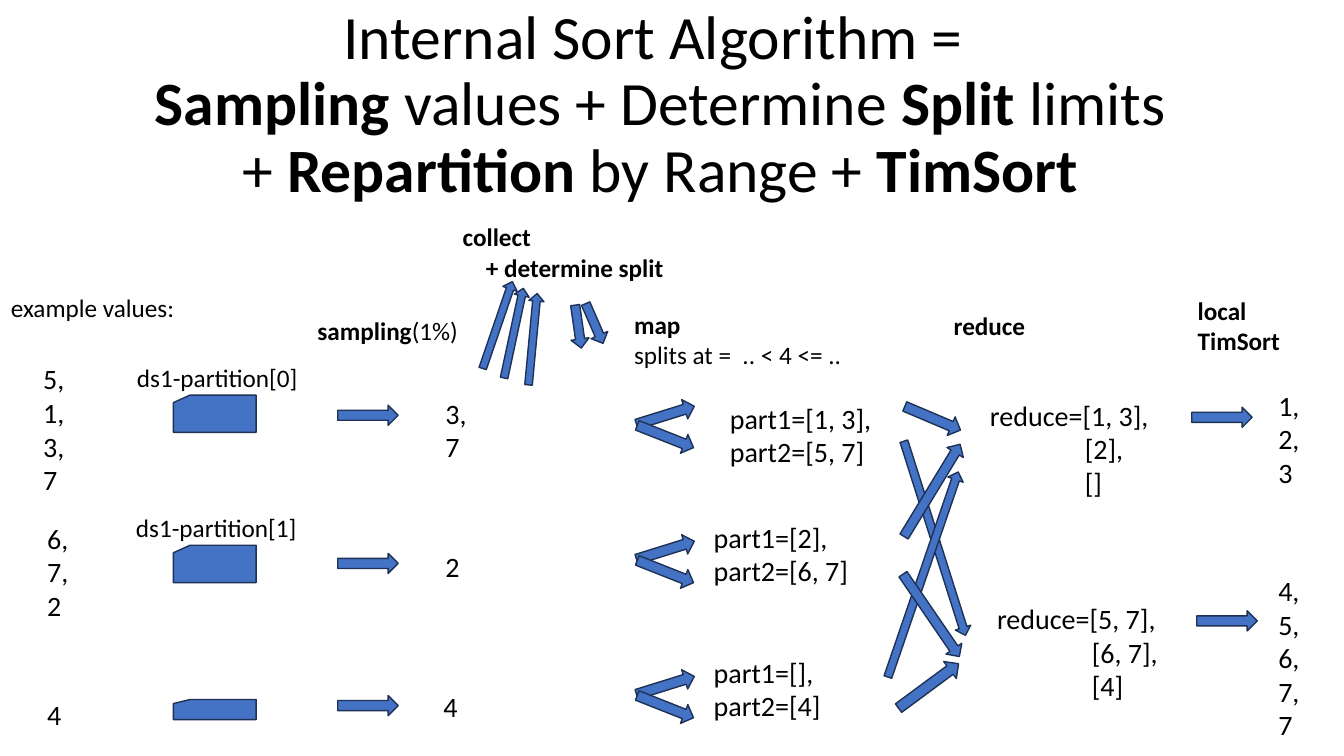
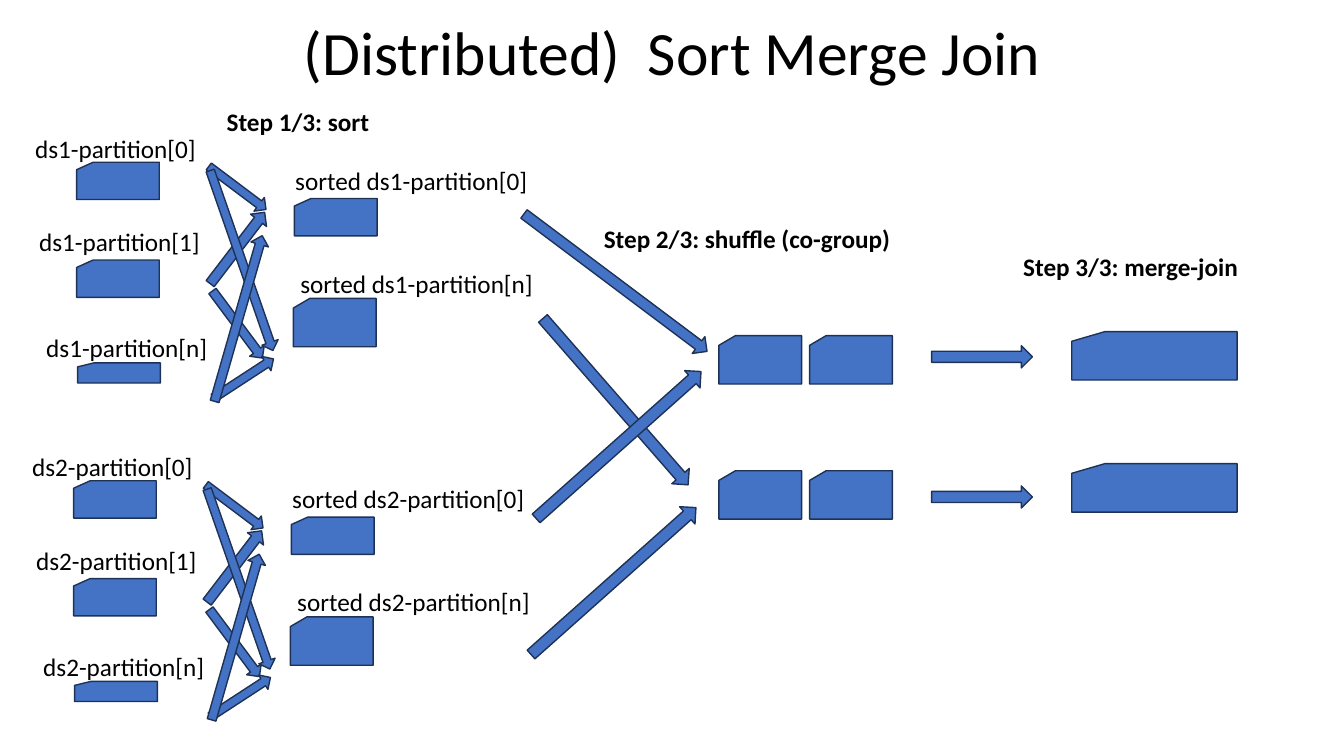
import dataclasses

import pptx
import pptx.dml.color
import pptx.enum.shapes
import pptx.enum.text
import pptx.util

Inches = pptx.util.Inches
SHAPES = pptx.enum.shapes.MSO_SHAPE
TEXT = pptx.enum.text


@dataclasses.dataclass(frozen=True)
class Theme:
    font: str = "Calibri"
    ink: str = "000000"
    fill: str = "4472C4"
    outline: str = "1E3256"
    outline_pt: int = 1
    title_pt: int = 44
    label_pt: int = 18
    value_pt: int = 20
    title_spacing: float = 0.9
    line_height: float = 1.22


THEME = Theme()
CARD_WIDTH = 0.82
CARD, TALL_CARD, THIN_CARD = 0.37, 0.48, 0.2


def rgb(value):
    return pptx.dml.color.RGBColor.from_string(value)


def set_all(target, formats):
    for name, value in formats.items():
        setattr(target, name, value)


def write_line(paragraph, text, size):
    """Write text as runs; parts between ** marks are bold."""
    for index, part in enumerate(text.split("**")):
        if part:
            run = paragraph.add_run()
            run.text = part
            set_all(run.font, {"name": THEME.font, "size": pptx.util.Pt(size),
                               "bold": index % 2 == 1})
            run.font.color.rgb = rgb(THEME.ink)


def add_text(slide, box, lines, size, frame_formats, paragraph_formats=None, indent=0):
    """Add one paragraph per line; indent applies after the first line."""
    frame = slide.shapes.add_textbox(*map(Inches, box)).text_frame
    set_all(frame, frame_formats)
    for index, line in enumerate(lines):
        paragraph = frame.add_paragraph() if index else frame.paragraphs[0]
        set_all(paragraph, paragraph_formats or {})
        if index and indent:
            paragraph._p.get_or_add_pPr().set("marL", str(Inches(indent)))
        write_line(paragraph, line, size)


def add_title(slide, box, *lines):
    add_text(slide, box, lines, THEME.title_pt,
             {"word_wrap": True, "vertical_anchor": TEXT.MSO_ANCHOR.MIDDLE},
             {"alignment": TEXT.PP_ALIGN.CENTER, "line_spacing": THEME.title_spacing})


def add_label(slide, left, top, width, *lines, size=THEME.label_pt, indent=0):
    height = round(0.1 + len(lines) * size * THEME.line_height / 72, 2)
    add_text(slide, (left, top, width, height), lines, size,
             {"word_wrap": False, "auto_size": TEXT.MSO_AUTO_SIZE.SHAPE_TO_FIT_TEXT},
             indent=indent)


def add_values(slide, left, top, width, *lines, indent=0):
    add_label(slide, left, top, width, *lines, size=THEME.value_pt, indent=indent)


def add_block(slide, kind, left, top, width, height, angle=0):
    block = slide.shapes.add_shape(kind, *map(Inches, (left, top, width, height)))
    block.rotation = angle
    block.shadow.inherit = False
    block.fill.solid()
    block.fill.fore_color.rgb = rgb(THEME.fill)
    block.line.color.rgb = rgb(THEME.outline)
    block.line.width = pptx.util.Pt(THEME.outline_pt)


def add_card(slide, left, top, height, width=CARD_WIDTH):
    add_block(slide, SHAPES.FLOWCHART_CARD, left, top, width, height)


def add_arrow(slide, left, top, length=0.6, thickness=0.2, angle=0):
    add_block(slide, SHAPES.RIGHT_ARROW, left, top, length, thickness, angle)


def add_arrows(slide, arrows, dx=0, dy=0):
    for left, top, *form in arrows:
        add_arrow(slide, left + dx, top + dy, *form)


def build_sort_algorithm(slide):
    add_title(slide, (0.81, 0.05, 11.48, 2),
              "Internal Sort Algorithm = ",
              "**Sampling** values + Determine **Split **limits",
              "+ **Repartition** by Range + **TimSort**")

    add_label(slide, 0.01, 2.85, 1.84, "example values:")
    add_label(slide, 3.05, 3.08, 1.61, "**sampling**(1%)")
    add_label(slide, 4.49, 2.15, 2.21, "**collect**", "**+ determine split**", indent=0.23)
    add_label(slide, 6.19, 3.02, 2.34, "**map**", "splits at =  .. < 4 <= ..")
    add_label(slide, 9.36, 3.03, 0.91, "**reduce**")
    add_label(slide, 11.78, 2.88, 1.02, "**local**", "**TimSort**")

    for top, height in ((3.92, CARD), (5.41, CARD), (6.94, THIN_CARD)):
        add_card(slide, 1.72, top, height)
    add_label(slide, 1.26, 3.54, 1.81, "ds1-partition[0]")
    add_label(slide, 1.25, 5.03, 1.81, "ds1-partition[1]")

    for left, top, width, *values in (
            (0.33, 3.54, 0.48, "5,", "1,", "3,", "7"),
            (0.37, 5.12, 0.48, "6,", "7,", "2"),
            (0.37, 6.87, 0.34, "4"),
            (4.32, 3.88, 0.48, "3,", "7"),
            (4.32, 5.4, 0.34, "2"),
            (4.3, 6.79, 0.34, "4"),
            (7.14, 3.93, 1.62, "part1=[1, 3],", "part2=[5, 7]"),
            (6.98, 5.11, 1.55, "part1=[2],", "part2=[6, 7]"),
            (6.98, 6.45, 1.27, "part1=[],", "part2=[4]"),
            (12.58, 3.8, 0.48, "1,", "2,", "3"),
            (12.58, 5.64, 0.48, "4,", "5,", "6,", "7,", "7")):
        add_values(slide, left, top, width, *values)
    add_values(slide, 9.72, 3.9, 1.79, "reduce=[1, 3],", "[2],", "[]", indent=0.94)
    add_values(slide, 9.79, 5.92, 1.81, "reduce=[5, 7],", "[6, 7],", "[4]", indent=0.94)

    sampling = [(3.35, top) for top in (4.02, 5.49, 6.9)]
    collecting = [(4.48, 3.15, 0.91, 0.15, 288.9),
                  (4.64, 3.23, 0.91, 0.15, 282.1),
                  (4.83, 3.29, 0.91, 0.15, 275.4)]
    split_limits = [(5.52, 3.15, 0.43, 0.18, 81.9),
                    (5.68, 3.12, 0.43, 0.18, 66.4)]
    mapping = [(6.3, 4.02 + 1.34 * row + drop, 0.6, 0.2, angle)
               for row in range(3) for drop, angle in ((0, 342.7), (0.21, 21.6))]
    reducing = [(8.95, 4.05, 0.6, 0.2, 23),
                (8.26, 5.26, 2.02, 0.16, 72.4),
                (8.08, 5.62, 2.15, 0.16, 288.9),
                (8.74, 6.01, 0.99, 0.19, 55.6),
                (8.84, 6.7, 0.74, 0.21, 323.5),
                (8.71, 4.77, 1.07, 0.19, 301.3)]
    local_sort = [(11.82, 4.04), (11.87, 6.06)]
    for stage in (sampling, collecting, split_limits, mapping, reducing, local_sort):
        add_arrows(slide, stage)


def add_dataset_sort(slide, dataset, dx, dy):
    """Draw the sort of one dataset, moved by dx and dy."""
    for left, top, height in ((0.76, 1.61, CARD), (0.76, 2.58, CARD),
                              (0.77, 3.6, THIN_CARD),
                              (2.92, 1.97, CARD), (2.91, 2.96, TALL_CARD)):
        add_card(slide, left + dx, top + dy, height)
    for left, top, width, pattern in (
            (0.25, 1.27, 1.81, "{}-partition[0]"),
            (0.29, 2.2, 1.81, "{}-partition[1]"),
            (0.36, 3.25, 1.82, "{}-partition[n]"),
            (2.83, 1.59, 2.53, "sorted {}-partition[0]"),
            (2.88, 2.61, 2.54, "sorted {}-partition[n]")):
        add_label(slide, left + dx, top + dy, width, pattern.format(dataset))
    add_arrows(slide, ((2, 1.78, 0.71, 0.17, 36.9),
                       (1.94, 3.13, 0.83, 0.18, 53.3),
                       (2.06, 3.67, 0.71, 0.17, 326.9),
                       (1.91, 2.36, 0.89, 0.2, 307.4),
                       (1.45, 2.5, 1.89, 0.17, 70.8),
                       (1.51, 3.07, 1.71, 0.18, 286)), dx, dy)


def build_merge_join(slide):
    add_title(slide, (0.92, 0.1, 11.5, 0.9), "(Distributed)  Sort Merge Join")
    add_label(slide, 2.15, 1.01, 1.63, "**Step 1/3: sort**")
    add_label(slide, 5.89, 2.17, 3.08, "**Step 2/3: shuffle (co-group)**")
    add_label(slide, 10.05, 2.44, 2.35, "**Step 3/3: merge-join**")

    add_dataset_sort(slide, "ds1", 0, 0)
    add_dataset_sort(slide, "ds2", -0.03, 3.16)

    add_arrows(slide, ((4.97, 2.7, 2.27, 0.21, 36.9),
                       (5.01, 3.87, 2.19, 0.23, 48.9),
                       (5.04, 4.3, 2.19, 0.23, 318.3),
                       (4.99, 5.65, 2.19, 0.23, 318.3)))
    for group_top, arrow_top, joined_top in ((3.33, 3.43, 3.29), (4.67, 4.82, 4.6)):
        for left in (7.13, 8.03):
            add_card(slide, left, group_top, TALL_CARD)
        add_arrow(slide, 9.24, arrow_top, 1, 0.22)
        add_card(slide, 10.63, joined_top, TALL_CARD, 2 * CARD_WIDTH)


def main():
    deck = pptx.Presentation()
    set_all(deck, {"slide_width": Inches(13.33), "slide_height": Inches(7.5)})
    for build in (build_sort_algorithm, build_merge_join):
        build(deck.slides.add_slide(deck.slide_layouts[6]))
    deck.save("out.pptx")


if __name__ == "__main__":
    main()
